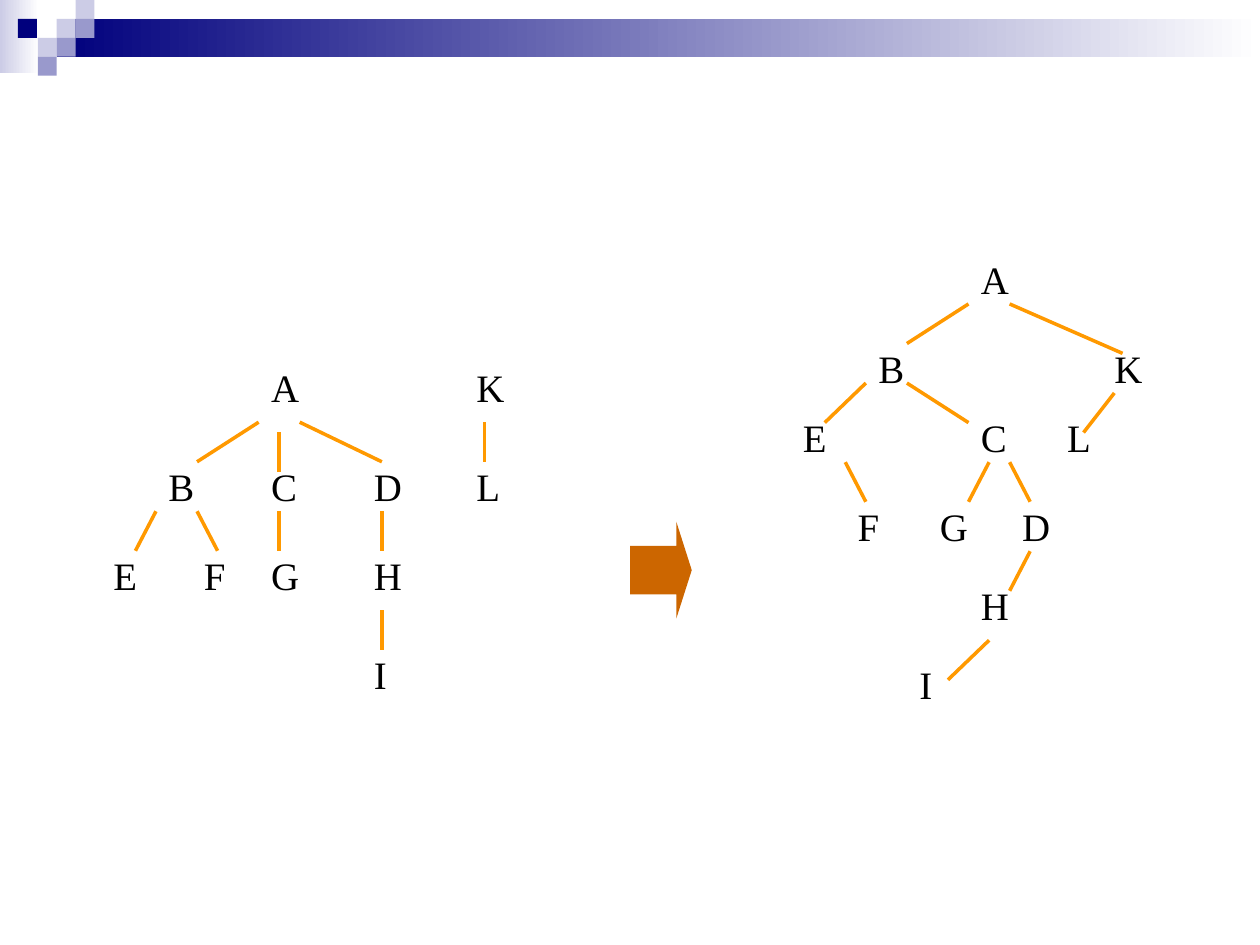
import pptx
import pptx.util
from pptx.dml.color import RGBColor
from pptx.enum.shapes import MSO_CONNECTOR, MSO_SHAPE
from pptx.enum.text import PP_ALIGN
from pptx.oxml.ns import qn
from lxml import etree

FONT = "Times New Roman"
NAVY, LILAC, LAVENDER, WHITE = "00007D", "9999CC", "CCCCE6", "FFFFFF"
ORANGE, RUST, BLACK = "FF9900", "CC6600", "000000"

TILE = 0.15               # header mosaic, inches
COL, ROW = 0.163, 0.0785  # tree grid, inches
LABEL = 0.49, 0.47

TILES = [(3, 1, LAVENDER), (4, 0, LAVENDER), (4, 1, LILAC), (2, 2, LAVENDER),
         (0.95, 1, NAVY), (3, 2, LILAC), (2, 3, LILAC)]

# Labels are (text, column, row); branches are (from column, row, to column, row).
FOREST = {
    "origin": (0.26, 2.88),
    "labels": [("A", 11, 0), ("B", 6, 10), ("C", 11, 10), ("D", 16, 10),
               ("E", 3, 19), ("F", 7.73, 19), ("G", 11, 19), ("H", 16, 19),
               ("I", 16, 29), ("K", 21, 0), ("L", 21, 10)],
    "branches": [(11, 6, 8, 10), (13, 6, 17, 10), (12, 7, 12, 11),
                 (12, 15, 12, 19), (17, 25, 17, 29), (17, 15, 17, 19),
                 (8, 15, 9, 19), (6, 15, 5, 19), (22, 6, 22, 10)],
}
BINARY_TREE = {
    "origin": (6.22, 2.02),
    "labels": [("A", 9, 0), ("B", 4, 9), ("C", 9, 16), ("D", 11, 25),
               ("E", 0, 16), ("F", 3, 25), ("G", 7, 25), ("H", 9, 33),
               ("I", 6, 41), ("K", 15.5, 9), ("L", 13.2, 16)],
    "branches": [(9, 5, 6, 9), (10, 39, 8, 43), (11, 21, 12, 25),
                 (10, 21, 9, 25), (3, 21, 4, 25), (12, 30, 11, 34),
                 (6, 13, 9, 17), (4, 13, 2, 17), (11, 5, 16.5, 10),
                 (16.1, 14, 14.6, 18)],
}


def color(value):
    return RGBColor.from_string(value)


def inches(*values):
    return [pptx.util.Inches(v) for v in values]


def add_block(s, box, fill, end=None, kind=MSO_SHAPE.RECTANGLE):
    """Borderless shape, filled plainly or fading rightwards to the end colour."""
    sp = s.shapes.add_shape(kind, *inches(*box))
    sp.shadow.inherit = False
    sp.line.fill.background()
    if end:
        sp.fill.gradient()
        sp.fill.gradient_angle = 0
        for stop, value in zip(sp.fill.gradient_stops, (fill, end)):
            stop.color.rgb = color(value)
    else:
        sp.fill.solid()
        sp.fill.fore_color.rgb = color(fill)
    return sp


def add_label(s, text, x, y):
    tf = s.shapes.add_textbox(*inches(x, y, *LABEL)).text_frame
    tf.word_wrap = True
    p = tf.paragraphs[0]
    p.text = text
    p.alignment = PP_ALIGN.CENTER if text == "E" else PP_ALIGN.JUSTIFY
    p.line_spacing = 0.9
    font = p.runs[0].font
    font.name, font.size = FONT, pptx.util.Pt(22.2)
    font.color.rgb = color(BLACK)


def add_branch(s, x1, y1, x2, y2):
    line = s.shapes.add_connector(MSO_CONNECTOR.STRAIGHT, *inches(x1, y1, x2, y2))
    line.line.color.rgb = color(ORANGE)
    line.line.width = pptx.util.Pt(2)
    etree.SubElement(line._element.spPr, qn("a:effectLst"))


def add_tree(s, tree):
    left, top = tree["origin"]

    def at(col, row):
        return left + col * COL, top + row * ROW

    for text, col, row in tree["labels"]:
        add_label(s, text, *at(col, row))
    for c1, r1, c2, r2 in tree["branches"]:
        add_branch(s, *at(c1, r1), *at(c2, r2))


def add_header(s):
    add_block(s, (0, 0, 0.31, 0.58), LAVENDER, WHITE)
    add_block(s, (3 * TILE, TILE, 10 - 3 * TILE, 2 * TILE), NAVY, WHITE)
    for col, row, fill in TILES:
        add_block(s, (col * TILE, row * TILE, TILE, TILE), fill)


def main():
    prs = pptx.Presentation()
    prs.slide_width, prs.slide_height = inches(10, 7.5)
    s = prs.slides.add_slide(prs.slide_layouts[6])
    add_header(s)
    add_tree(s, BINARY_TREE)
    add_tree(s, FOREST)
    arrow = add_block(s, (5, 4.14, 0.49, 0.77), RUST, kind=MSO_SHAPE.RIGHT_ARROW)
    arrow.adjustments[0], arrow.adjustments[1] = 0.5, 0.25
    prs.save("out.pptx")


if __name__ == "__main__":
    main()
